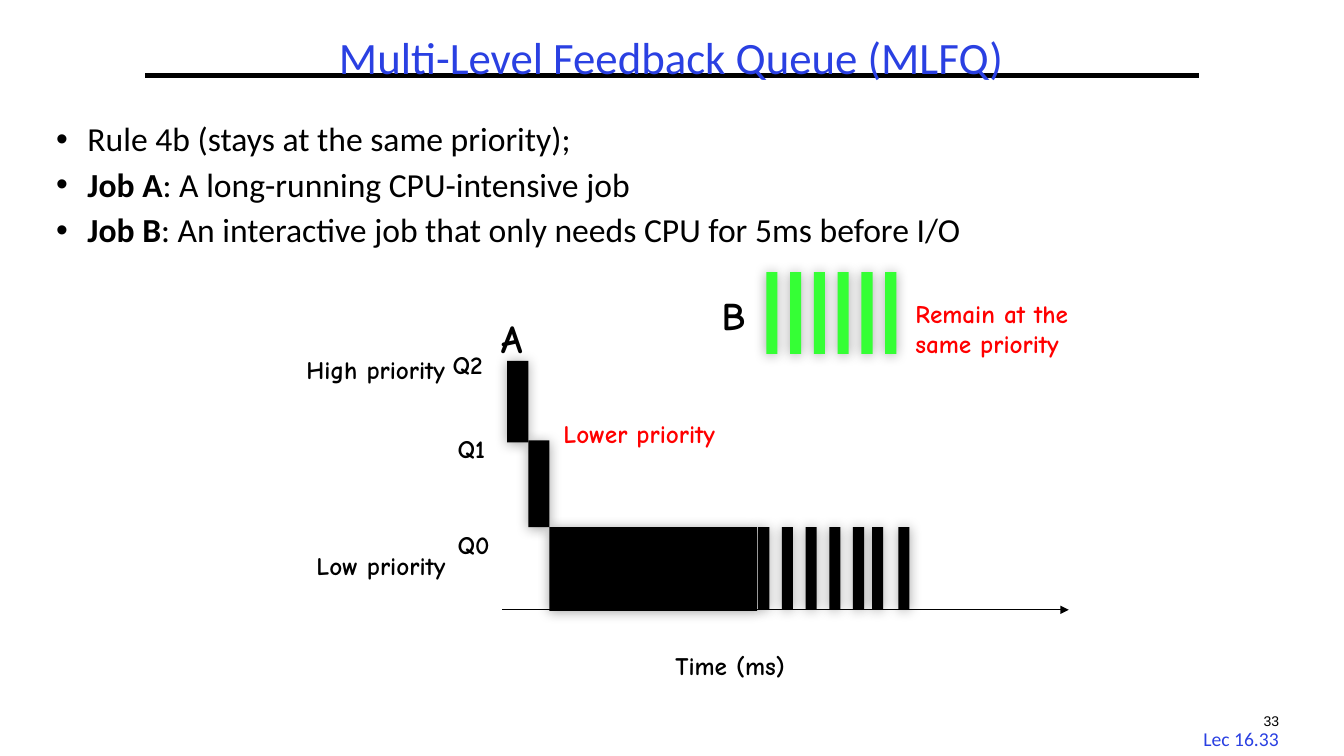
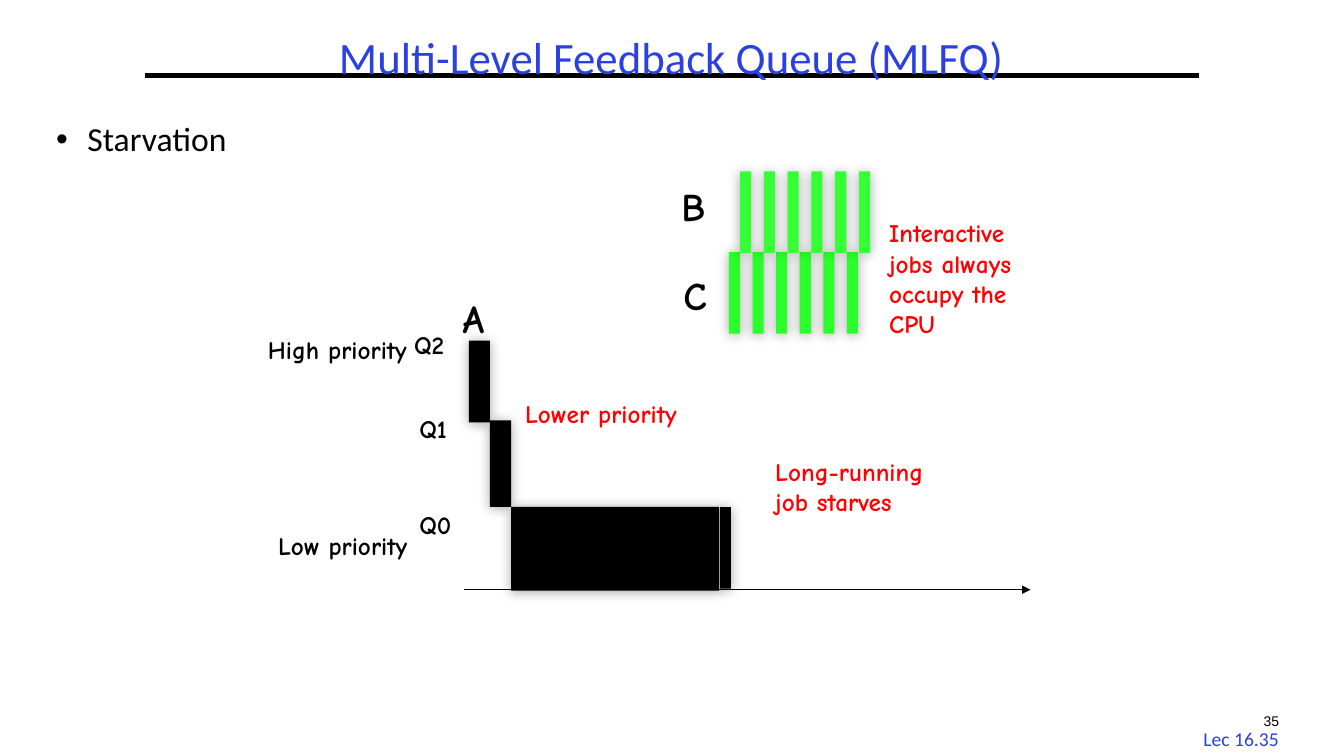
from lxml import etree
from pptx import Presentation
from pptx.dml.color import RGBColor
from pptx.enum.shapes import MSO_CONNECTOR, MSO_SHAPE
from pptx.enum.text import MSO_ANCHOR, PP_ALIGN
from pptx.oxml.ns import qn
from pptx.util import Inches, Pt

LEFT, CENTER = PP_ALIGN.LEFT, PP_ALIGN.CENTER
TOP, MIDDLE = MSO_ANCHOR.TOP, MSO_ANCHOR.MIDDLE
RECT, LINE = MSO_SHAPE.RECTANGLE, MSO_CONNECTOR.STRAIGHT

BLACK, BLUE, RED = "000000", "2A40E2", "FF0000"
GREEN, LIME = "35FF35", "2BFF2B"
TITLE = {"name": "Calibri", "size": Pt(32)}
BODY = {"name": "Calibri", "size": Pt(24)}
FOOT = {"name": "Calibri", "size": Pt(14)}
PAGE = {"name": "Arial", "size": Pt(10)}
LABEL = {"name": "Comic Neue", "size": Pt(18), "bold": True}
JOB = {"name": "Comic Neue", "size": Pt(28), "bold": True}
BAR_W, BAR_H = 0.11, 0.81


def color(code):
    return RGBColor.from_string(code)


def child(node, tag, **attrs):
    return etree.SubElement(node, qn(tag), attrs)


class Deck:
    """Holds the style and the current slide, and draws each kind of element."""

    def __init__(self):
        self.prs = Presentation()
        self.prs.slide_width = Inches(13.33)
        self.prs.slide_height = Inches(7.5)

    def page(self, title, num):
        self.slide = self.prs.slides.add_slide(self.prs.slide_layouts[6])
        self.text(11.77, 7.16, 1.08, 0.33, f"Lec 16.{num}", FOOT, BLUE, CENTER)
        self.line(1.44, 0.75, 11.89, 3)
        self.text(12.36, 7.02, 0.5, 0.4, str(num), PAGE, BLACK, CENTER)
        frame = self.text(0.46, 0.3, 12.4, 0.58, title, TITLE, BLUE, CENTER)
        frame.vertical_anchor = MIDDLE
        frame.paragraphs[0].line_spacing = 0.9

    def frame(self, x, y, w, h):
        box = self.slide.shapes.add_textbox(*map(Inches, (x, y, w, h)))
        box.text_frame.word_wrap = True
        box.text_frame.vertical_anchor = TOP
        return box.text_frame

    def run(self, para, text, style, tint=BLACK, **extra):
        font_run = para.add_run()
        font_run.text = text
        for key, value in {**style, **extra}.items():
            setattr(font_run.font, key, value)
        font_run.font.color.rgb = color(tint)

    def text(self, x, y, w, h, text, style=LABEL, tint=BLACK, align=LEFT):
        frame = self.frame(x, y, w, h)
        para = frame.paragraphs[0]
        para.alignment = align
        self.run(para, text, style, tint)
        return frame

    def bullets(self, items):
        frame = self.frame(0.46, 1.17, 12.4, 5.62)
        for i, (lead, rest) in enumerate(items):
            para = frame.add_paragraph() if i else frame.paragraphs[0]
            props = para._p.get_or_add_pPr()
            props.set("marL", str(Inches(0.31)))
            props.set("indent", str(-Inches(0.31)))
            child(props, "a:buFont", typeface="Arial")
            child(props, "a:buChar", char="•")
            para.line_spacing = 0.9
            para.space_before = Pt(6.5 if i else 0)
            if lead:
                self.run(para, lead, BODY, bold=True)
            self.run(para, rest, BODY)

    def line(self, x, y, end, width, arrow=False):
        line = self.slide.shapes.add_connector(
            LINE, Inches(x), Inches(y), Inches(end), Inches(y))
        line.line.color.rgb = color(BLACK)
        line.line.width = Pt(width)
        if arrow:
            child(line.line._get_or_add_ln(), "a:tailEnd", type="triangle")
        child(line._element.spPr, "a:effectLst")

    def block(self, x, y, w, h, tint=BLACK):
        shape = self.slide.shapes.add_shape(RECT, *map(Inches, (x, y, w, h)))
        shape.fill.solid()
        shape.fill.fore_color.rgb = color(tint)
        shape.line.fill.background()
        shape.shadow.inherit = False
        glow = child(shape._element.spPr.find(qn("a:effectLst")), "a:outerShdw",
                     blurRad=str(Pt(9)), dist=str(Pt(1)), dir="5400000",
                     rotWithShape="0")
        child(child(glow, "a:srgbClr", val=BLACK), "a:alpha", val="35000")

    def bars(self, x, y, span, count, tint=BLACK):
        for i in range(count):
            self.block(x + i * span / (count - 1), y, BAR_W, BAR_H, tint)

    def stairs(self, dx=0, dy=0):
        for x, y, w, text, tint in (
                (2.94, 3.47, 1.76, "High priority", BLACK),
                (3.04, 5.41, 1.67, "Low priority", BLACK),
                (5.49, 4.1, 1.93, "Lower priority", RED),
                (4.44, 5.2, 0.58, "Q0", BLACK),
                (4.44, 4.25, 0.58, "Q1", BLACK),
                (4.39, 3.42, 0.58, "Q2", BLACK)):
            self.text(x + dx, y + dy, w, 0.4, text, LABEL, tint)
        self.job(4.87 + dx, 3.07 + dy, "A")
        self.line(4.98 + dx, 6.05 + dy, 10.6 + dx, 0.75, True)
        for x, y, w, h in ((5.03, 3.58, 0.21, 0.81), (5.24, 4.37, 0.21, 0.86),
                           (5.45, 5.23, 2.06, 0.83)):
            self.block(x + dx, y + dy, w, h)

    def job(self, x, y, name):
        self.text(x, y, 0.49, 0.57, name, JOB)

    def note(self, x, y, h, text):
        self.text(x, y, 1.85, h, text, LABEL, RED)


def main():
    deck = Deck()
    title = "Multi-Level Feedback Queue (MLFQ)"

    deck.page(title, 33)
    deck.bullets([
        ("", "Rule 4b (stays at the same priority);"),
        ("Job A", ": A long-running CPU-intensive job"),
        ("Job B", ": An interactive job that only needs CPU for 5ms before I/O")])
    deck.text(6.6, 6.4, 1.4, 0.4, "Time (ms)")
    deck.stairs()
    deck.job(7.06, 2.84, "B")
    deck.bars(7.6, 2.7, 1.18, 6, GREEN)
    deck.bars(7.52, 5.23, 0.94, 5)
    deck.bars(8.65, 5.23, 0.26, 2)
    deck.note(8.98, 2.91, 1.01, "Remain at the same priority")

    deck.page(title, 35)
    deck.bullets([("", "Starvation")])
    deck.stairs(-0.38, -0.2)
    deck.job(6.68, 2.64, "C")
    deck.bars(7.23, 2.5, 1.17, 6, LIME)
    deck.block(7.14, 5.03, BAR_W, BAR_H)
    deck.note(8.72, 2.11, 1.31, "Interactive jobs always occupy the CPU")
    deck.job(6.66, 1.76, "B")
    deck.bars(7.34, 1.7, 1.18, 6, GREEN)
    deck.note(7.59, 4.48, 0.71, "Long-running job starves")

    deck.prs.save("out.pptx")


if __name__ == "__main__":
    main()
